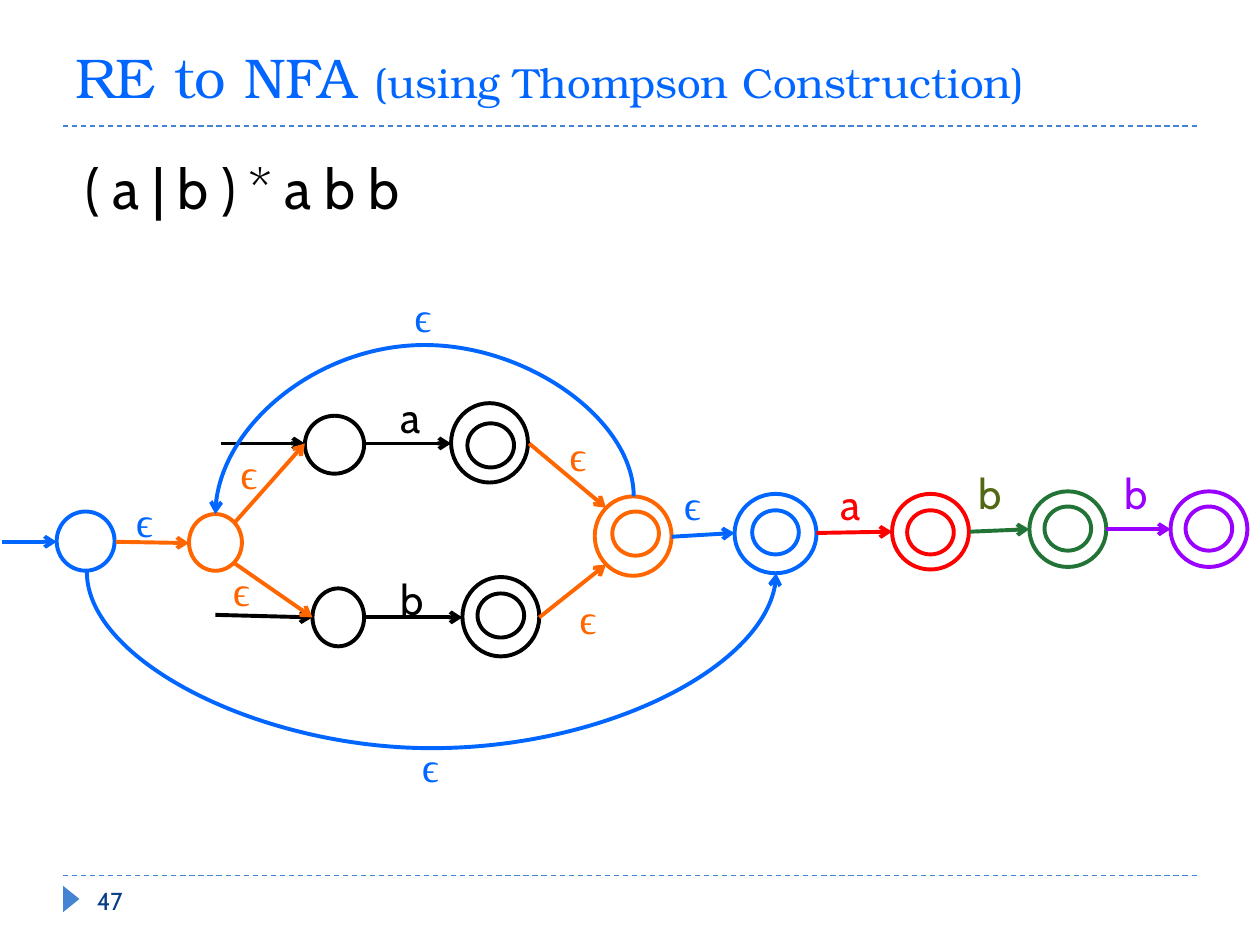
from dataclasses import dataclass

from lxml import etree
from pptx import Presentation
from pptx.dml.color import RGBColor
from pptx.enum.dml import MSO_LINE
from pptx.enum.shapes import MSO_CONNECTOR, MSO_SHAPE
from pptx.enum.text import MSO_ANCHOR, MSO_AUTO_SIZE, PP_ALIGN
from pptx.oxml.ns import qn
from pptx.util import Inches, Pt

STRAIGHT, CURVE = MSO_CONNECTOR.STRAIGHT, MSO_CONNECTOR.CURVE
ELLIPSE, TRIANGLE = MSO_SHAPE.OVAL, MSO_SHAPE.ISOSCELES_TRIANGLE
TOP, MIDDLE, BOTTOM = MSO_ANCHOR.TOP, MSO_ANCHOR.MIDDLE, MSO_ANCHOR.BOTTOM
FIT_SHAPE, NO_FIT = MSO_AUTO_SIZE.SHAPE_TO_FIT_TEXT, MSO_AUTO_SIZE.NONE
LEFT, DASH = PP_ALIGN.LEFT, MSO_LINE.DASH


@dataclass(frozen=True)
class Theme:
    black: str = "000000"
    orange: str = "FF6600"
    blue: str = "0066FF"
    red: str = "FF0000"
    green: str = "217436"
    olive: str = "526814"
    purple: str = "9900FF"
    rule: str = "4584D3"
    number: str = "073E87"
    title_font: str = "TeX Gyre Bonum"
    text_font: str = "Cabin"
    symbol_font: str = "Times New Roman"
    large: int = 32
    medium: int = 24
    small: int = 14
    edge_width: float = 2.25
    rule_width: float = 0.75


THEME = Theme()
INNER_RING = (0.37, 0.35)

# Outer circle (left, top, width, height), then the inner ring's corner if accepting
STATES = [
    (THEME.black, (2.42, 3.3, 0.47, 0.46), None),
    (THEME.black, (3.58, 3.2, 0.61, 0.63), (3.71, 3.36)),
    (THEME.black, (2.48, 4.67, 0.41, 0.46), None),
    (THEME.black, (3.67, 4.58, 0.61, 0.63), (3.79, 4.71)),
    (THEME.orange, (1.5, 4.08, 0.42, 0.45), None),
    (THEME.orange, (4.72, 3.94, 0.61, 0.63), (4.86, 4.06)),
    (THEME.blue, (0.45, 4.06, 0.46, 0.47), None),
    (THEME.blue, (5.83, 3.92, 0.65, 0.63), (5.97, 4.05)),
    (THEME.red, (7.08, 3.92, 0.61, 0.6), (7.2, 4.05)),
    (THEME.green, (8.17, 3.9, 0.61, 0.6), (8.29, 4.02)),
    (THEME.purple, (9.29, 3.9, 0.61, 0.6), (9.41, 4.02)),
]

# Start and end of each straight transition
TRANSITIONS = [
    (THEME.black, (1.75, 3.52), (2.42, 3.52)),
    (THEME.black, (2.89, 3.52), (3.58, 3.52)),
    (THEME.black, (1.71, 4.88), (2.48, 4.9)),
    (THEME.black, (2.89, 4.9), (3.67, 4.9)),
    (THEME.orange, (0.92, 4.3), (1.5, 4.31)),
    (THEME.orange, (1.86, 4.15), (2.42, 3.52)),
    (THEME.orange, (1.86, 4.47), (2.48, 4.9)),
    (THEME.orange, (4.2, 3.52), (4.81, 4.03)),
    (THEME.orange, (4.28, 4.9), (4.81, 4.48)),
    (THEME.blue, (0.02, 4.3), (0.45, 4.3)),
    (THEME.blue, (5.33, 4.26), (5.83, 4.23)),
    (THEME.red, (6.48, 4.23), (7.08, 4.22)),
    (THEME.green, (7.7, 4.22), (8.17, 4.2)),
    (THEME.purple, (8.78, 4.2), (9.29, 4.2)),
]

# Start, end and the height at which each loop turns
LOOPS = [
    ((5.03, 3.94), (1.71, 4.08), 2.74),
    ((0.69, 4.54), (6.16, 4.55), 5.96),
]

LETTERS = [
    ("a", THEME.black, 3.08, 3.06, 0.43),
    ("b", THEME.black, 3.08, 4.5, 0.43),
    ("a", THEME.red, 6.57, 3.75, 0.35),
    ("b", THEME.olive, 7.67, 3.66, 0.37),
    ("b", THEME.purple, 8.83, 3.66, 0.37),
]

EPSILONS = {
    THEME.orange: [(1.81, 3.5), (1.75, 4.43), (4.42, 3.36), (4.5, 4.65)],
    THEME.blue: [(5.33, 3.75), (0.98, 3.88), (3.19, 2.26), (3.25, 5.83)],
}


def inches(*values):
    return [Inches(value) for value in values]


def color(value):
    return RGBColor.from_string(value)


def add_run(paragraph, text, size, font, fill):
    run = paragraph.add_run()
    run.text = text
    run.font.size = Pt(size)
    run.font.name = font
    run.font.color.rgb = color(fill)


def add_text(slide, text, box, size, font, fill, wrap=False, anchor=TOP, fit=FIT_SHAPE):
    frame = slide.shapes.add_textbox(*inches(*box)).text_frame
    frame.word_wrap = wrap
    frame.auto_size = fit
    frame.vertical_anchor = anchor
    add_run(frame.paragraphs[0], text, size, font, fill)


def add_title(slide):
    title = slide.shapes.title
    title.left, title.top, title.width, title.height = inches(0.5, 0.17, 9, 0.75)
    frame = title.text_frame
    frame.auto_size = NO_FIT
    frame.vertical_anchor = BOTTOM
    paragraph = frame.paragraphs[0]
    paragraph.alignment = LEFT
    add_run(paragraph, "RE to NFA ", THEME.large, THEME.title_font, THEME.blue)
    add_run(paragraph, "(using Thompson Construction)", THEME.medium, THEME.title_font, THEME.blue)


def add_line(slide, start, end, stroke, width, kind=STRAIGHT):
    connector = slide.shapes.add_connector(kind, *inches(*start, *end))
    connector.line.color.rgb = color(stroke)
    connector.line.width = Pt(width)
    etree.SubElement(connector._element.spPr, qn("a:effectLst"))
    return connector


def add_arrow(slide, start, end, stroke, kind=STRAIGHT):
    arrow = add_line(slide, start, end, stroke, THEME.edge_width, kind)
    etree.SubElement(arrow.line._get_or_add_ln(), qn("a:tailEnd"), type="arrow")
    return arrow


def add_loop(slide, start, end, turn, stroke):
    """Curve that leaves and arrives vertically: a connector turned by 270 degrees."""
    arrow = add_arrow(slide, start, end, stroke, CURVE)
    (x1, y1), (x2, y2) = start, end
    width, height = y2 - y1, abs(x2 - x1)
    arrow.left, arrow.top, arrow.width, arrow.height = inches(
        (x1 + x2 - width) / 2, (y1 + y2 - height) / 2, width, height)
    properties = arrow._element.spPr
    frame = properties.find(qn("a:xfrm"))
    frame.set("rot", str(270 * 60000))
    frame.set("flipH", "1")
    frame.set("flipV", "1" if x2 < x1 else "0")
    adjustments = properties.find(qn("a:prstGeom")).find(qn("a:avLst"))
    ratio = round((turn - y1) / width * 100000)
    etree.SubElement(adjustments, qn("a:gd"), name="adj1", fmla=f"val {ratio}")


def add_circle(slide, box, stroke):
    circle = slide.shapes.add_shape(ELLIPSE, *inches(*box))
    circle.shadow.inherit = False
    circle.fill.background()
    circle.line.color.rgb = color(stroke)
    circle.line.width = Pt(THEME.edge_width)


def add_state(slide, stroke, box, inner_corner):
    add_circle(slide, box, stroke)
    if inner_corner:
        add_circle(slide, inner_corner + INNER_RING, stroke)


def add_page_frame(slide):
    for y in (1, 6.95):
        rule = add_line(slide, (0.5, y), (9.5, y), THEME.rule, THEME.rule_width)
        rule.line.dash_style = DASH
    marker = slide.shapes.add_shape(TRIANGLE, *inches(0.46, 7.07, 0.21, 0.13))
    marker.rotation = 90
    marker.shadow.inherit = False
    marker.fill.solid()
    marker.fill.fore_color.rgb = color(THEME.rule)
    marker.line.fill.background()
    add_text(slide, "47", (0.67, 6.95, 0.5, 0.4), THEME.small, THEME.text_font,
             THEME.number, wrap=True, anchor=MIDDLE, fit=NO_FIT)


def main():
    presentation = Presentation()
    presentation.slide_width, presentation.slide_height = inches(10, 7.5)
    slide = presentation.slides.add_slide(presentation.slide_layouts[5])

    # Page frame, title and regular expression
    add_page_frame(slide)
    add_title(slide)
    add_text(slide, "( a | b ) * a b b", (0.58, 1.17, 3.42, 0.64), THEME.large,
             THEME.text_font, THEME.black, wrap=True)

    # Automaton
    for stroke, box, inner_corner in STATES:
        add_state(slide, stroke, box, inner_corner)
    for stroke, start, end in TRANSITIONS:
        add_arrow(slide, start, end, stroke)
    for start, end, turn in LOOPS:
        add_loop(slide, start, end, turn, THEME.blue)

    # Transition labels
    for text, fill, left, top, width in LETTERS:
        add_text(slide, text, (left, top, width, 0.5), THEME.medium, THEME.text_font, fill)
    for fill, corners in EPSILONS.items():
        for corner in corners:
            add_text(slide, "ϵ", corner + (0.36, 0.5), THEME.medium, THEME.symbol_font, fill)

    presentation.save("out.pptx")


if __name__ == "__main__":
    main()
